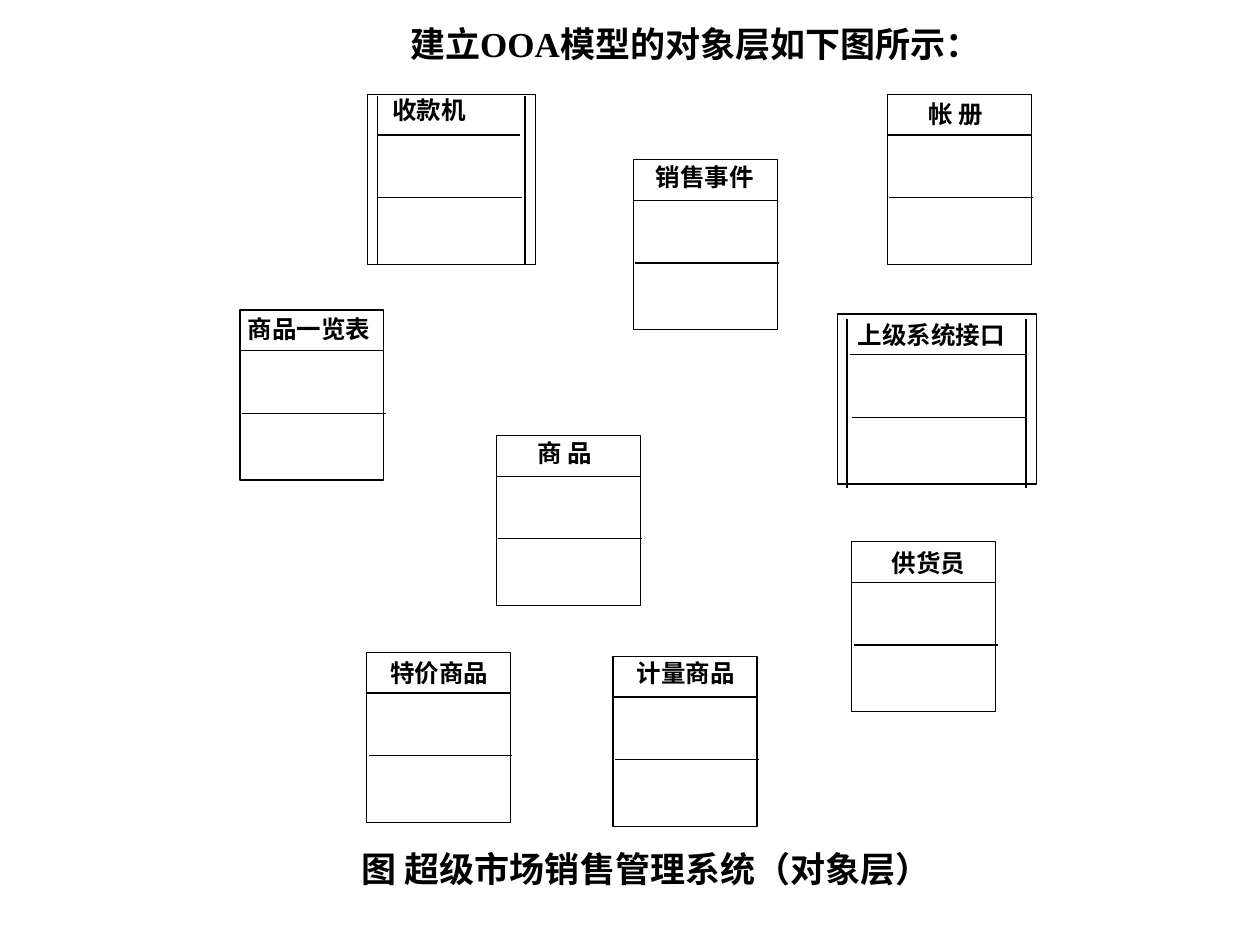
import pptx
import pptx.dml.color
import pptx.enum.shapes
import pptx.enum.text
import pptx.util
from dataclasses import dataclass
from lxml import etree
from pptx.oxml.ns import qn

Cm = pptx.util.Cm
Pt = pptx.util.Pt


@dataclass(frozen=True)
class Theme:
    ink = pptx.dml.color.RGBColor(0, 0, 0)
    paper = pptx.dml.color.RGBColor(255, 255, 255)
    latin: str = "Times New Roman"
    chinese: str = "Noto Sans CJK SC"
    heading_size: int = 20
    label_size: int = 14
    border: float = 0.75
    rail: float = 1


theme = Theme()


def write_text(box, text, size, latin, align, wrap):
    """Put one bold line of text into a box, anchored at its top."""
    frame = box.text_frame
    frame.auto_size = pptx.enum.text.MSO_AUTO_SIZE.NONE
    frame.word_wrap = wrap
    frame.vertical_anchor = pptx.enum.text.MSO_ANCHOR.TOP
    para = frame.paragraphs[0]
    para.alignment = align
    span = para.add_run()
    span.text = text
    span.font.size = Pt(size)
    span.font.bold = True
    span.font.color.rgb = theme.ink
    span.font.name = latin
    east_asian = etree.SubElement(span.font._element, qn("a:ea"))
    east_asian.set("typeface", theme.chinese)


def draw_line(page, x1, y1, x2, y2, weight):
    line = page.shapes.add_connector(
        pptx.enum.shapes.MSO_CONNECTOR.STRAIGHT, Cm(x1), Cm(y1), Cm(x2), Cm(y2))
    line.line.color.rgb = theme.ink
    line.line.width = Pt(weight)
    etree.SubElement(line._element.spPr, qn("a:effectLst"))


deck = pptx.Presentation()
deck.slide_width, deck.slide_height = Cm(25.4), Cm(19.05)
page = deck.slides.add_slide(deck.slide_layouts[5])
center = pptx.enum.text.PP_ALIGN.CENTER
left_align = pptx.enum.text.PP_ALIGN.LEFT

title = page.shapes.title
title.left, title.top, title.width, title.height = Cm(6.3), Cm(0.33), Cm(15.44), Cm(1.12)
write_text(title, "建立OOA模型的对象层如下图所示：", theme.heading_size, theme.latin, center, True)

# Class boxes in cm: name, left, top, label offset x and y
card_width, card_height = 2.9, 3.43
header_height, second_row = 0.82, 2.08
second_shift = 0.04
classes = [
    ("帐 册", 17.89, 1.9, 0.58, -0.03),
    ("商品一览表", 4.84, 6.25, -0.1, -0.05),
    ("销售事件", 12.77, 3.22, 0.2, -0.08),
    ("上级系统接口", 16.88, 6.33, 0.16, 0),
    ("收款机", 7.41, 1.9, 0.25, -0.1),
    ("供货员", 17.17, 10.92, 0.56, 0),
    ("商 品", 10.01, 8.78, 0.58, -0.08),
    ("计量商品", 12.36, 13.23, 0.23, -0.08),
    ("特价商品", 7.39, 13.15, 0.23, 0),
]
# Interface classes: box width, divider offset and length, rail top offset
interfaces = {
    "上级系统接口": (4.01, 0.25, 3.53, 0.1),
    "收款机": (3.38, 0.18, 2.9, 0.03),
}
rail_inset, rail_length = 0.2, 3.4

for name, left, top, label_x, label_y in classes:
    width, divider_x, divider_length, rail_top = interfaces.get(
        name, (card_width, 0, card_width, 0))

    card = page.shapes.add_shape(
        pptx.enum.shapes.MSO_SHAPE.RECTANGLE,
        Cm(left), Cm(top), Cm(width), Cm(card_height))
    card.shadow.inherit = False
    card.fill.solid()
    card.fill.fore_color.rgb = theme.paper
    card.line.color.rgb = theme.ink
    card.line.width = Pt(theme.border)

    for row, shift in ((header_height, 0), (second_row, second_shift)):
        start = left + divider_x + shift
        draw_line(page, start, top + row, start + divider_length, top + row, theme.border)

    if name in interfaces:
        for rail_x in (left + rail_inset, left + width - rail_inset):
            draw_line(page, rail_x, top + rail_top,
                      rail_x, top + rail_top + rail_length, theme.rail)

    label_width = 0.51 + sum(0.12 if letter == " " else 0.49 for letter in name)
    label = page.shapes.add_textbox(
        Cm(left + label_x), Cm(top + label_y), Cm(label_width), Cm(0.86))
    write_text(label, name, theme.label_size, theme.latin, left_align, False)

caption = page.shapes.add_textbox(Cm(5.51), Cm(16.97), Cm(15.04), Cm(1.12))
write_text(caption, "图 超级市场销售管理系统（对象层）", theme.heading_size, theme.chinese, center, True)

deck.save("out.pptx")
